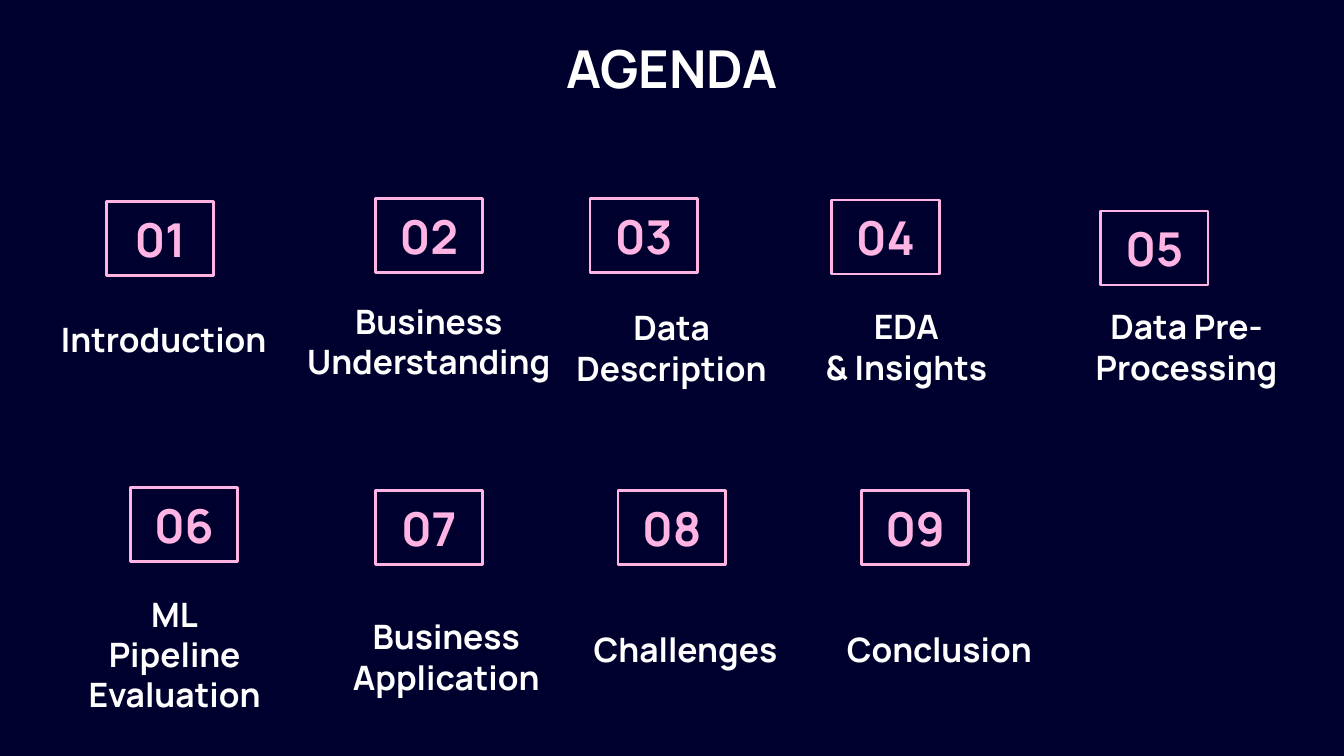
"""Build an agenda slide with nine numbered topics."""
from pptx import Presentation
from pptx.dml.color import RGBColor
from pptx.enum.shapes import MSO_SHAPE
from pptx.enum.text import MSO_ANCHOR, PP_ALIGN
from pptx.util import Cm, Pt

NAVY = RGBColor(0x00, 0x00, 0x2E)
PINK = RGBColor(0xFF, 0xB4, 0xE4)
WHITE = RGBColor(0xFF, 0xFF, 0xFF)
FONT = "Manrope"

TOPICS = [
    ("Introduction", (2.01, 3.81), (0.76, 5.77, 4.67, 1.4)),
    ("Business\nUnderstanding", (7.09, 3.76), (5.49, 5.44, 5.23, 2.57)),
    ("Data Description", (11.15, 3.76), (10.36, 5.56, 4.67, 2.41)),
    ("EDA\n& Insights", (15.72, 3.78), (14.5, 5.54, 5.26, 2.03)),
    ("Data Pre-Processing", (20.8, 3.99), (20.09, 5.54, 4.67, 2.03)),
    ("ML\nPipeline\nEvaluation", (2.46, 9.22), (1.14, 10.97, 4.32, 2.46)),
    ("Business\nApplication", (7.09, 9.27), (5.82, 11.4, 5.23, 2.03)),
    ("Challenges", (11.68, 9.27), (10.62, 11.63, 4.67, 1.6)),
    ("Conclusion", (16.28, 9.27), (15.42, 11.63, 4.67, 1.6)),
]


def write(box, text, size, color, anchor=MSO_ANCHOR.TOP):
    """Fill a box with centred bold text."""
    frame = box.text_frame
    frame.text = text
    frame.word_wrap = True
    frame.vertical_anchor = anchor
    frame.margin_left = frame.margin_right = Cm(0.25)
    frame.margin_top = frame.margin_bottom = Cm(0.25)
    for paragraph in frame.paragraphs:
        paragraph.alignment = PP_ALIGN.CENTER
        for span in paragraph.runs:
            span.font.name = FONT
            span.font.size = Pt(size)
            span.font.bold = True
            span.font.color.rgb = color


deck = Presentation()
deck.slide_width, deck.slide_height = Cm(25.4), Cm(14.29)
page = deck.slides.add_slide(deck.slide_layouts[5])
page.background.fill.solid()
page.background.fill.fore_color.rgb = NAVY

title = page.shapes.title
title.left, title.top, title.width, title.height = Cm(2), Cm(0.43), Cm(21.4), Cm(1.6)
write(title, "AGENDA", 28, WHITE)

for number, (topic, corner, area) in enumerate(TOPICS, start=1):
    left, top = corner
    badge = page.shapes.add_shape(
        MSO_SHAPE.RECTANGLE, Cm(left), Cm(top), Cm(2.03), Cm(1.4))
    badge.shadow.inherit = False
    badge.fill.background()
    badge.line.color.rgb = PINK
    badge.line.width = Pt(1.5)
    write(badge, f"{number:02d}", 25, PINK, MSO_ANCHOR.MIDDLE)

    caption = page.shapes.add_textbox(*[Cm(length) for length in area])
    write(caption, topic, 18, WHITE)

deck.save("out.pptx")
